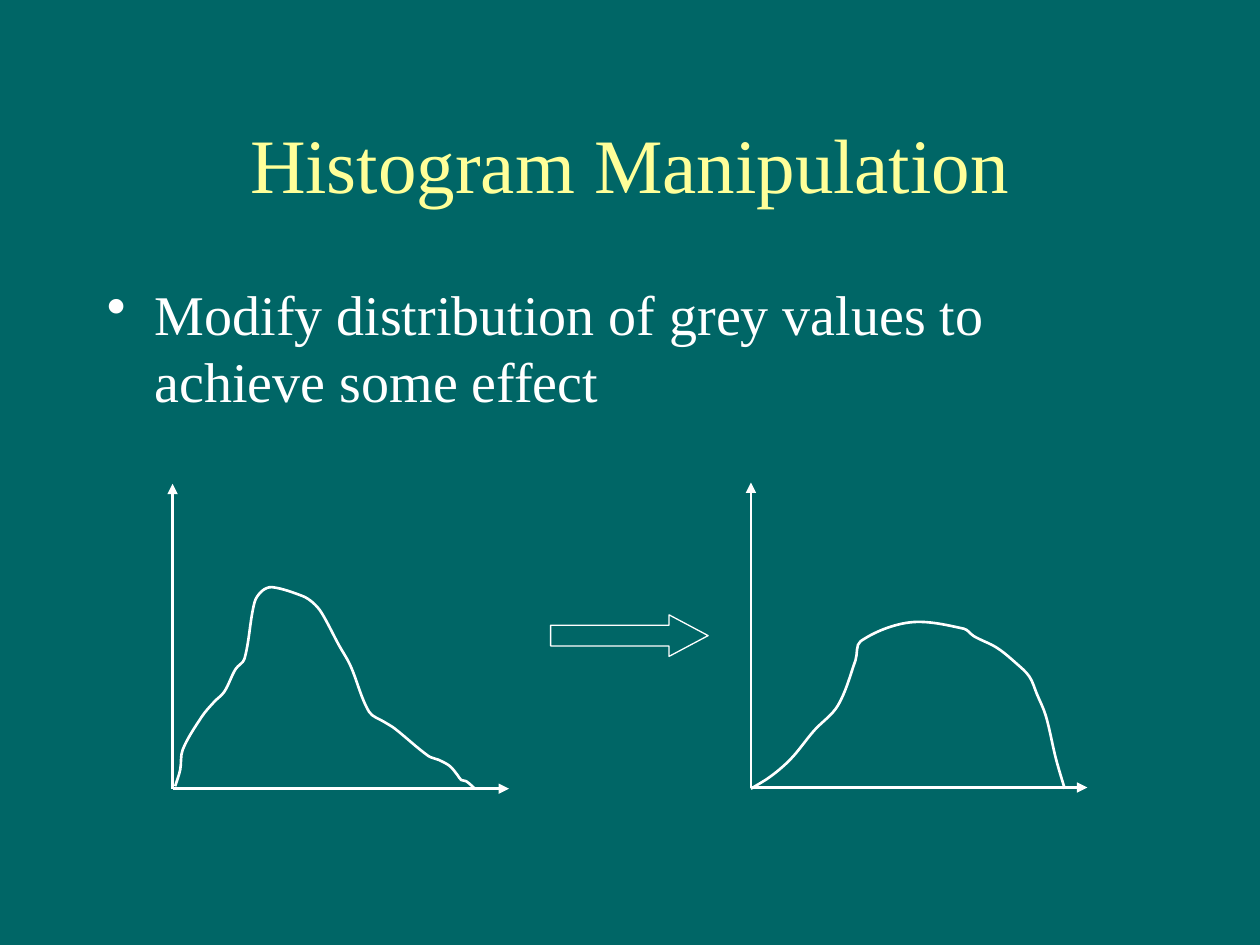
import math

import pptx
import pptx.dml.color
import pptx.enum.shapes
import pptx.enum.text
import pptx.oxml
import pptx.oxml.ns
import pptx.util

Inches = pptx.util.Inches
FONT = "Times New Roman"
BACKGROUND, TITLE_COLOR, WHITE = "006666", "FFFF99", "FFFFFF"
AXIS_WIDTH, AXIS_HEIGHT = 2.67, 2.42

# Points in inches that each smooth histogram outline passes through.
NARROW_HISTOGRAM = [
    (1.39, 6.24), (1.43, 6.11), (1.45, 5.95), (1.6, 5.69), (1.7, 5.57),
    (1.78, 5.49), (1.87, 5.31), (1.94, 5.23), (2.02, 4.78), (2.08, 4.69),
    (2.16, 4.66), (2.4, 4.73), (2.48, 4.78), (2.55, 4.86), (2.69, 5.12),
    (2.78, 5.28), (2.93, 5.65), (3.05, 5.73), (3.13, 5.78), (3.4, 6),
    (3.48, 6.03), (3.57, 6.08), (3.63, 6.15), (3.66, 6.19), (3.7, 6.2),
    (3.77, 6.26),
]
WIDE_HISTOGRAM = [
    (5.96, 6.26), (6.12, 6.16), (6.28, 6.02), (6.46, 5.8), (6.65, 5.6),
    (6.79, 5.24), (6.83, 5.09), (7.22, 4.94), (7.65, 4.99), (7.73, 5.05),
    (7.91, 5.14), (8.06, 5.26), (8.17, 5.37), (8.23, 5.51), (8.3, 5.68),
    (8.38, 6.02), (8.45, 6.26),
]


def rgb(color):
    return pptx.dml.color.RGBColor.from_string(color)


def write_text(frame, text, size, color, align="LEFT", anchor="TOP", bullet_indent=None):
    frame.word_wrap = True
    frame.auto_size = pptx.enum.text.MSO_AUTO_SIZE.NONE
    frame.vertical_anchor = getattr(pptx.enum.text.MSO_ANCHOR, anchor)
    paragraph = frame.paragraphs[0]
    paragraph.text = text
    paragraph.alignment = getattr(pptx.enum.text.PP_ALIGN, align)
    if bullet_indent:
        properties = paragraph._p.get_or_add_pPr()
        properties.set("marL", str(Inches(bullet_indent)))
        properties.set("indent", str(-Inches(bullet_indent)))
        bullet = pptx.oxml.parse_xml(
            f'<a:buChar {pptx.oxml.ns.nsdecls("a")} char="•"/>')
        properties.append(bullet)
    font = paragraph.runs[0].font
    font.name, font.size = FONT, pptx.util.Pt(size)
    font.color.rgb = rgb(color)


def style_line(line, width):
    line.color.rgb = rgb(WHITE)
    line.width = pptx.util.Pt(width)


def add_axis(slide, start, end):
    axis = slide.shapes.add_connector(
        pptx.enum.shapes.MSO_CONNECTOR.STRAIGHT, *map(Inches, start + end))
    style_line(axis.line, 1.5)
    namespace = pptx.oxml.ns.nsdecls("a")
    axis.line._get_or_add_ln().append(
        pptx.oxml.parse_xml(f'<a:tailEnd {namespace} type="triangle"/>'))
    axis._element.spPr.append(pptx.oxml.parse_xml(f"<a:effectLst {namespace}/>"))


def bezier_points(knots):
    """Return three Bezier points per segment, with tangents along neighbouring knots."""
    tangents = []
    for i, knot in enumerate(knots):
        before, after = knots[max(i - 1, 0)], knots[min(i + 1, len(knots) - 1)]
        length = math.dist(before, knot) + math.dist(knot, after)
        tangents.append([(b - a) / length for a, b in zip(before, after)])
    points = []
    for i, (start, end) in enumerate(zip(knots, knots[1:])):
        reach = math.dist(start, end) / 3
        points += [
            [p + reach * t for p, t in zip(start, tangents[i])],
            [p - reach * t for p, t in zip(end, tangents[i + 1])],
            end,
        ]
    return points


def add_curve(slide, knots):
    builder = slide.shapes.build_freeform(*map(Inches, knots[0]))
    builder.add_line_segments(
        [tuple(map(Inches, point)) for point in bezier_points(knots)], close=False)
    curve = builder.convert_to_shape()
    # Merge each three straight segments into one cubic segment.
    segments = list(curve._element.iter(pptx.oxml.ns.qn("a:lnTo")))
    for i in range(0, len(segments), 3):
        cubic = pptx.oxml.parse_xml(f'<a:cubicBezTo {pptx.oxml.ns.nsdecls("a")}/>')
        segments[i].addprevious(cubic)
        for segment in segments[i:i + 3]:
            cubic.append(segment[0])
            segment.getparent().remove(segment)
    curve.shadow.inherit = False
    curve.fill.background()
    style_line(curve.line, 1.5)


def add_histogram(slide, origin, knots):
    x, y = origin
    add_axis(slide, origin, (x + AXIS_WIDTH, y))
    add_axis(slide, origin, (x, y - AXIS_HEIGHT))
    add_curve(slide, knots)


def add_block_arrow(slide, *box):
    arrow = slide.shapes.add_shape(
        pptx.enum.shapes.MSO_SHAPE.RIGHT_ARROW, *map(Inches, box))
    arrow.adjustments[0], arrow.adjustments[1] = 0.5, 0.94
    arrow.shadow.inherit = False
    arrow.fill.background()
    style_line(arrow.line, 0.75)


def main():
    deck = pptx.Presentation()
    deck.slide_width, deck.slide_height = Inches(10), Inches(7.5)
    slide = deck.slides.add_slide(deck.slide_layouts.get_by_name("Title Only"))
    slide.background.fill.solid()
    slide.background.fill.fore_color.rgb = rgb(BACKGROUND)

    title = slide.shapes.title
    title.left, title.top = Inches(0.75), Inches(0.67)
    title.width, title.height = Inches(8.5), Inches(1.25)
    write_text(title.text_frame, "Histogram Manipulation", 44, TITLE_COLOR,
               align="CENTER", anchor="MIDDLE")
    body = slide.shapes.add_textbox(*map(Inches, (0.75, 2.17, 8.5, 4.5)))
    write_text(body.text_frame,
               "Modify distribution of grey values to achieve some effect",
               32, WHITE, bullet_indent=0.38)

    add_histogram(slide, (1.37, 6.26), NARROW_HISTOGRAM)
    add_histogram(slide, (5.96, 6.25), WIDE_HISTOGRAM)
    add_block_arrow(slide, 4.37, 4.88, 1.25, 0.33)
    deck.save("out.pptx")


if __name__ == "__main__":
    main()
